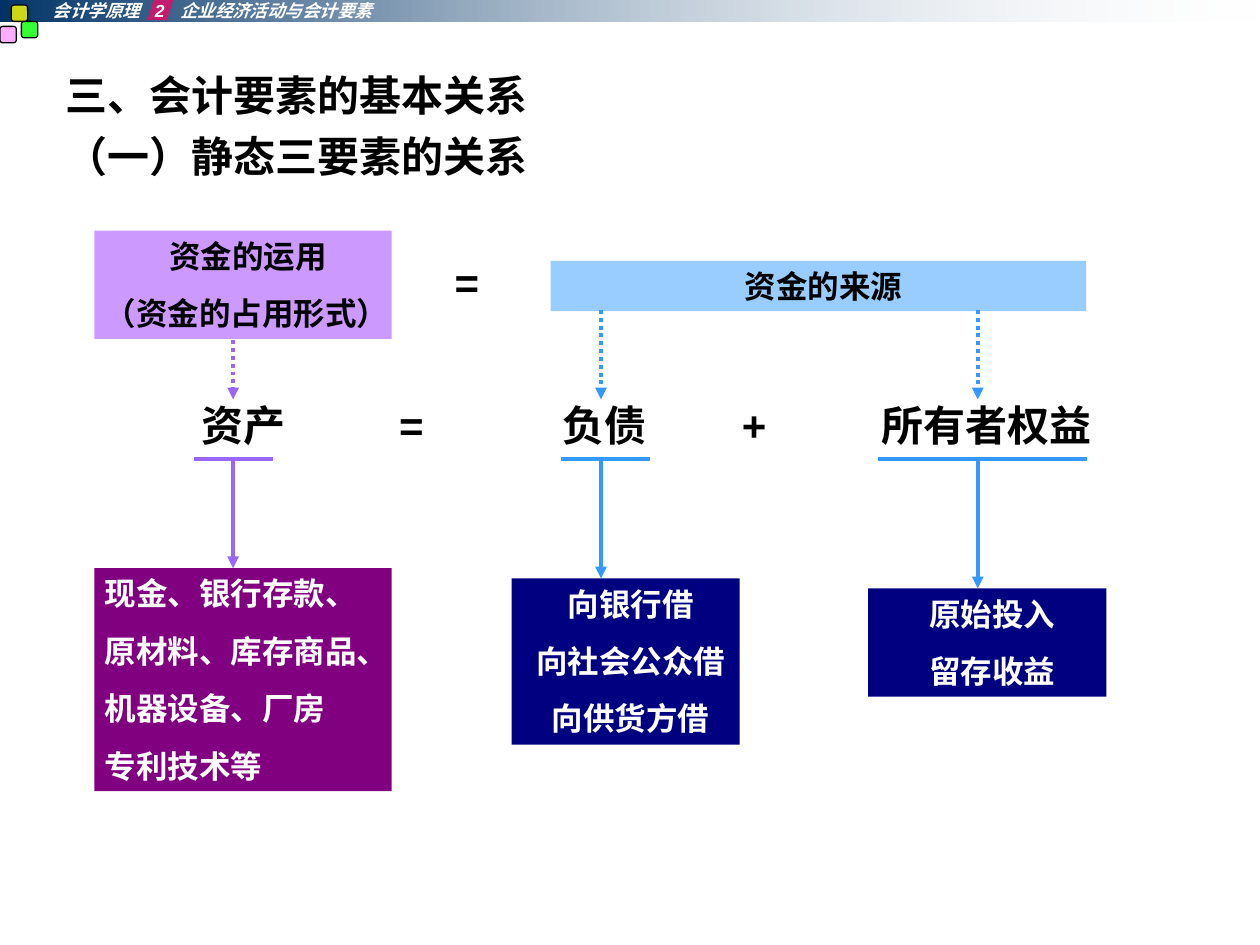
from pptx import Presentation
from pptx import util as u
from pptx.dml.color import RGBColor
from pptx.enum import dml, shapes, text
from pptx.oxml.ns import qn
from lxml import etree

HUES = {
    "black": "000000", "white": "FFFFFF", "navy": "003366", "mist": "E7ECF1",
    "pink": "FF99FF", "green": "00FF00", "yellow": "FFFF00", "rose": "FF0066",
    "plum": "800080", "lilac": "CC99FF", "violet": "9966FF",
    "sky": "99CCFF", "blue": "3399FF", "deep": "000080",
}
HEADS = ["三、会计要素的基本关系", "（一）静态三要素的关系"]
BANNER = ["会计学原理", "2", "企业经济活动与会计要素"]
TERMS = ["资产", "=", "负债", "+", "所有者权益"]
SQUARES = [(0, 0.21, "pink"), (0.17, 0.17, "green"), (0.09, 0.04, "yellow")]
BOXES = [
    ((0.75, 4.51, 2.36, 1.77), "plum", "white", "l",
     ["现金、银行存款、", "原材料、库存商品、", "机器设备、厂房", "专利技术等"]),
    ((0.75, 1.83, 2.36, 0.86), "lilac", "black", "cl",
     ["资金的运用", "（资金的占用形式）"]),
    ((4.37, 2.07, 4.25, 0.4), "sky", "black", "c", ["资金的来源"]),
    ((4.06, 4.59, 1.81, 1.32), "deep", "white", "c",
     ["向银行借", "向社会公众借", "向供货方借"]),
    ((6.89, 4.67, 1.89, 0.86), "deep", "white", "c", ["原始投入", "留存收益"]),
]
TERM_TOP, RULE = 3.17, 3.64
FLOWS = [
    (1.85, 2.7, 4.51, 1.54, 2.17, "violet"),
    (4.77, 2.46, 4.59, 4.45, 5.16, "blue"),
    (7.76, 2.46, 4.67, 6.97, 8.63, "blue"),
]
ALIGN = {"l": text.PP_ALIGN.LEFT, "c": text.PP_ALIGN.CENTER}
KIND = shapes.MSO_SHAPE

deck = Presentation()
deck.slide_width, deck.slide_height = u.Inches(10), u.Inches(7.5)
slide = deck.slides.add_slide(deck.slide_layouts[5])


def tint(name):
    return RGBColor.from_string(HUES[name])


def inches(*vals):
    return [u.Inches(v) for v in vals]


def node(parent, tag, **attrs):
    return etree.SubElement(parent, qn(tag), attrs)


def fade(shape, pct):
    hue = shape._element.spPr.xpath(".//a:srgbClr")[-1]
    node(hue, "a:alpha", val=str(pct * 1000))


def draw(kind, at, fill=None):
    shape = slide.shapes.add_shape(kind, *inches(*at))
    shape.shadow.inherit = False
    shape.line.fill.background()
    if fill:
        shape.fill.solid()
        shape.fill.fore_color.rgb = tint(fill)
    return shape


def write(shape, lines, size, hue, pads, aligns="l", gap=0, tabs=(),
          italic=False, wrap=True):
    frame = shape.text_frame
    frame.word_wrap = wrap
    frame.auto_size = text.MSO_AUTO_SIZE.NONE
    frame.vertical_anchor = text.MSO_ANCHOR.TOP
    (frame.margin_left, frame.margin_top,
     frame.margin_right, frame.margin_bottom) = inches(*pads)
    for i, line in enumerate(lines):
        para = frame.paragraphs[0] if i == 0 else frame.add_paragraph()
        if tabs:
            stops = node(para._p.get_or_add_pPr(), "a:tabLst")
            for pos in tabs:
                node(stops, "a:tab", pos=str(u.Inches(pos)), algn="l")
        para.alignment = ALIGN[aligns[min(i, len(aligns) - 1)]]
        para.space_before = u.Pt(gap if i else 0)
        run = para.add_run()
        run.text = line
        font = run.font
        font.name, font.size = "Arial", u.Pt(size)
        font.bold, font.italic = True, italic
        font.color.rgb = tint(hue)
    return frame


def label(at, line, size, hue, pads, **opts):
    box = slide.shapes.add_textbox(*inches(*at))
    return write(box, [line], size, hue, pads, **opts)


def link(x1, y1, x2, y2, hue, arrow=False, dots=False):
    wire = slide.shapes.add_connector(
        shapes.MSO_CONNECTOR.STRAIGHT, *inches(x1, y1, x2, y2))
    wire.line.color.rgb = tint(hue)
    wire.line.width = u.Pt(2.25)
    if dots:
        wire.line.dash_style = dml.MSO_LINE.ROUND_DOT
    if arrow:
        node(wire.line._get_or_add_ln(), "a:tailEnd", type="triangle")
    node(wire._element.spPr, "a:effectLst")


PADS = (0.1, 0.05, 0.1, 0.05)
title = slide.shapes.title
title.left, title.top, title.width, title.height = inches(0.42, 0.5, 9.17, 1.1)
write(title, HEADS, 24, "black", PADS, gap=6)

bar = draw(KIND.RECTANGLE, (0, 0, 10, 0.17))
bar.fill.gradient()
bar.fill.gradient_angle = 0
for stop, hue in zip(bar.fill.gradient_stops, ("navy", "mist")):
    stop.color.rgb = tint(hue)
fade(bar, 0)

for x, y, hue in SQUARES:
    square = draw(KIND.ROUNDED_RECTANGLE, (x, y, 0.13, 0.13), hue)
    fade(square, 80)
    square.line.color.rgb = tint("black")
    square.line.width = u.Pt(0.75)

badge = draw(KIND.PARALLELOGRAM, (1.17, -0.02, 0.21, 0.18), "rose")
badge.adjustments[0] = 0.3
fade(badge, 70)
label((0.42, 0, 2.92, 0.17), "\t".join(BANNER), 10, "white", (0, 0, 0, 0),
      tabs=(0.81, 1.01), italic=True)

for at, fill, hue, aligns, lines in BOXES:
    write(draw(KIND.RECTANGLE, at, fill), lines, 18, hue,
          (0.08, 0.05, 0, 0.05), aligns=aligns, gap=11.2)

for x, top, end, left, right, hue in FLOWS:
    link(x, top, x, TERM_TOP, hue, arrow=True, dots=True)
    link(left, RULE, right, RULE, hue)
    link(x, RULE, x, end, hue, arrow=True)

label((3.51, 1.99, 0.47, 0.5), "=", 24, "black", PADS)
terms = label((1.5, TERM_TOP, 7.33, 0.82), "\t".join(TERMS), 24, "black", PADS,
              tabs=(1.57, 2.87, 4.29, 5.4), wrap=False)
terms.paragraphs[0].line_spacing = 0.9

deck.save("out.pptx")
